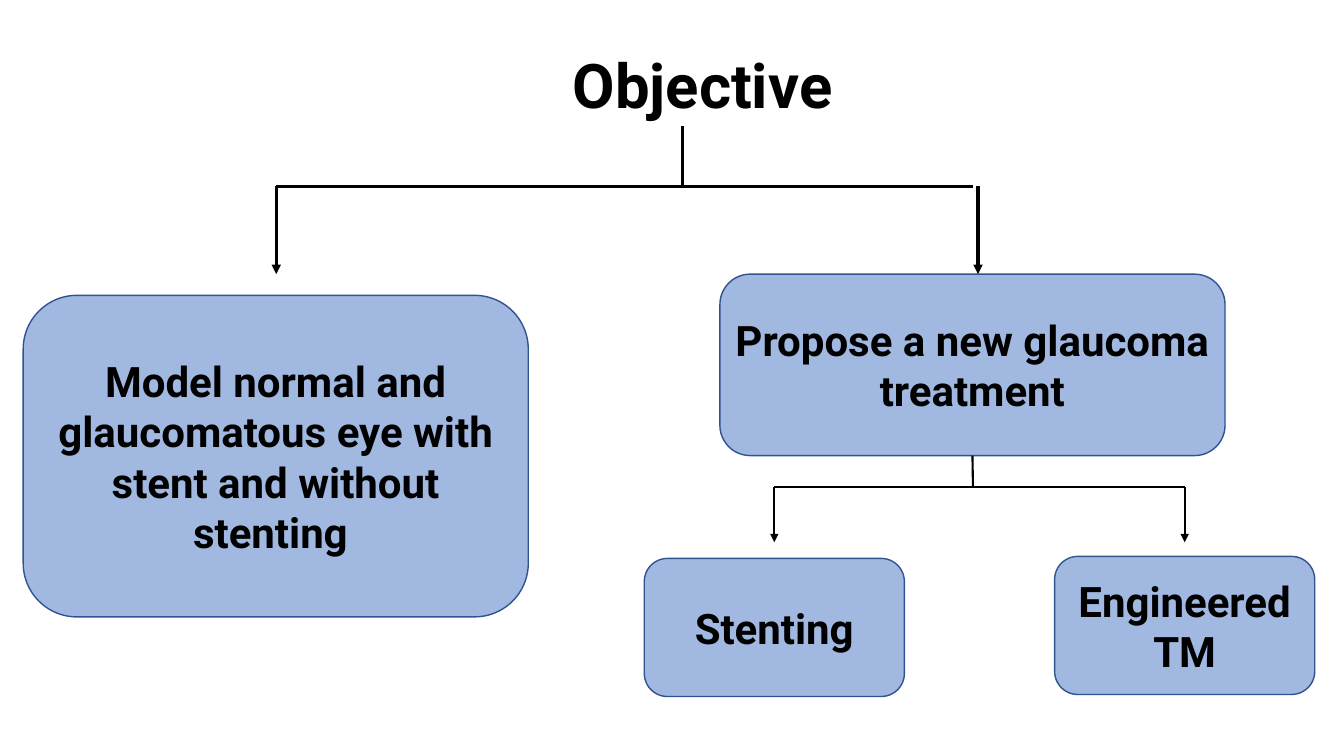
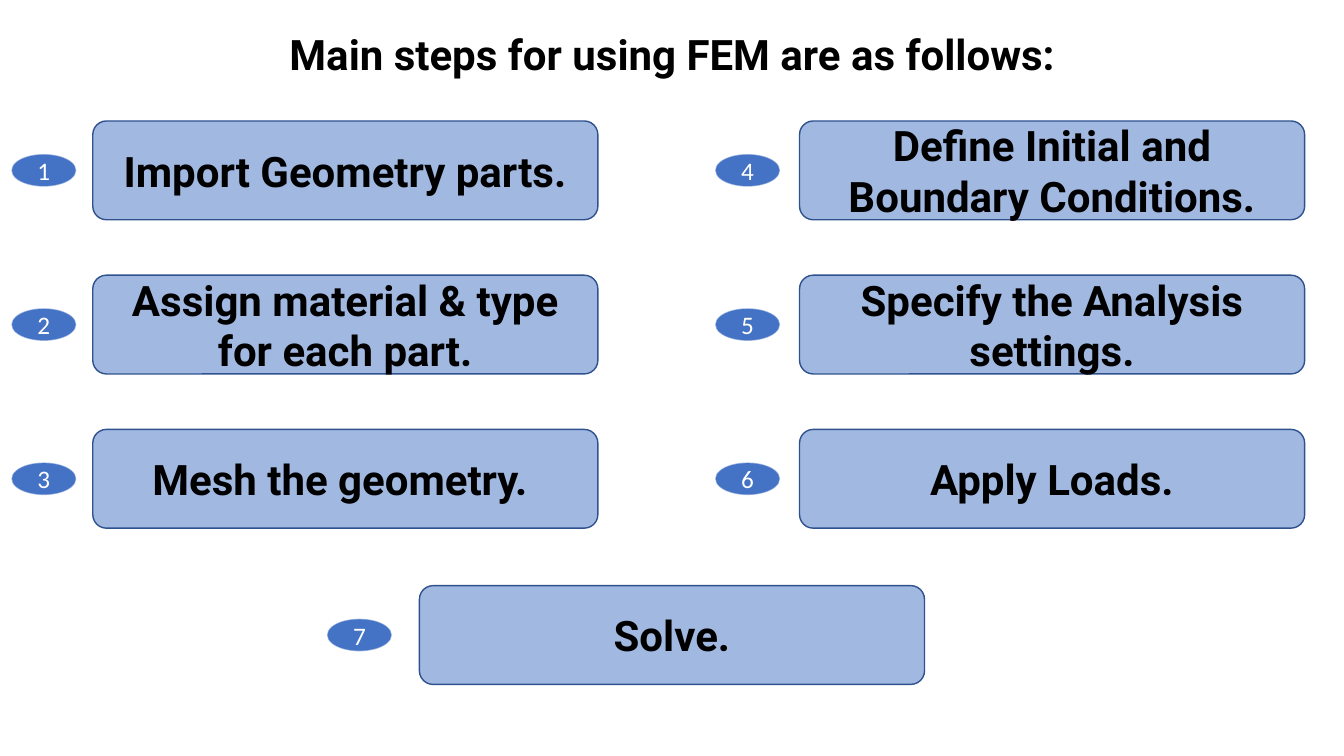
"""Build two slides: a glaucoma objective tree and the numbered FEM steps."""
from dataclasses import dataclass
from typing import Optional

from lxml.etree import SubElement
from pptx import Presentation
from pptx.dml.color import RGBColor
from pptx.enum.shapes import MSO_CONNECTOR, MSO_SHAPE
from pptx.enum.text import MSO_ANCHOR, PP_ALIGN
from pptx.oxml.ns import qn
from pptx.util import Inches, Pt


@dataclass(frozen=True)
class Theme:
    heading_font: str = "Roboto"
    badge_font: str = "Calibri"
    title_size: float = 44
    text_size: float = 30
    badge_size: float = 18
    ink: str = "000000"
    white: str = "FFFFFF"
    accent: str = "4472C4"
    tree_border: str = "31538F"
    step_border: str = "2F528F"
    half_opaque: str = "50000"


@dataclass(frozen=True)
class Area:
    left: float
    top: float
    width: float
    height: float

    @property
    def lengths(self) -> tuple:
        return tuple(Inches(n) for n in (self.left, self.top, self.width, self.height))


@dataclass(frozen=True)
class BoxStyle:
    border: str
    corner: float
    side_inset: float


@dataclass(frozen=True)
class Branch:
    trunk_x: float
    trunk_top: float
    bar_y: float
    bar_left: float
    bar_right: float
    drops: tuple
    drop_bottom: float
    weight: float


@dataclass(frozen=True)
class StepColumn:
    badge_left: float
    box_left: float
    top: float
    steps: tuple


THEME = Theme()
TREE_BOX = BoxStyle(THEME.tree_border, 0.167, 0)
STEP_BOX = BoxStyle(THEME.step_border, 0.138, 0.1)

PROPOSAL = "Propose a new glaucoma treatment"
TREE_BOXES = {
    "Model normal and glaucomatous eye with stent and without stenting ": Area(0.23, 2.93, 5.01, 3.19),
    PROPOSAL: Area(7.14, 2.72, 5.01, 1.8),
    "Stenting": Area(6.39, 5.54, 2.58, 1.37),
    "Engineered TM": Area(10.46, 5.52, 2.58, 1.37),
}
OBJECTIVE_BRANCH = Branch(6.77, 1.25, 1.85, 2.74, 9.65, (2.74, 9.7), 2.72, 2.25)
PROPOSAL_BRANCH = Branch(9.65, 4.52, 4.83, 7.68, 11.75, (7.68, 11.75), 5.38, 1.5)

STEP_WIDTH, STEP_HEIGHT, STEP_PITCH = 5.01, 0.98, 1.53
BADGE_WIDTH, BADGE_HEIGHT = 0.63, 0.31
STEP_COLUMNS = (
    StepColumn(0.12, 0.92, 1.2, (
        "Import Geometry parts.",
        "Assign material & type for each part.",
        "Mesh the geometry. ",
    )),
    StepColumn(7.1, 7.93, 1.2, (
        "Define Initial and Boundary Conditions.",
        "Specify the Analysis settings.",
        "Apply Loads.",
    )),
    StepColumn(3.25, 4.16, 5.81, ("Solve.",)),
)


def write_text(shape, text: str, size: float, color: str = THEME.ink,
               font: str = THEME.heading_font, bold: bool = True,
               anchor=MSO_ANCHOR.MIDDLE, spacing: Optional[float] = None) -> None:
    """Write one centred run into a shape."""
    frame = shape.text_frame
    frame.word_wrap = True
    frame.vertical_anchor = anchor
    paragraph = frame.paragraphs[0]
    paragraph.alignment = PP_ALIGN.CENTER
    if spacing is not None:
        paragraph.line_spacing = spacing
    run = paragraph.add_run()
    run.text = text
    run.font.name = font
    run.font.size = Pt(size)
    run.font.bold = bold
    run.font.color.rgb = RGBColor.from_string(color)


def make_half_opaque(properties) -> None:
    """Make the solid fill inside fill or line properties half transparent."""
    color = properties.find(qn("a:solidFill")).find(qn("a:srgbClr"))
    SubElement(color, qn("a:alpha")).set("val", THEME.half_opaque)


def add_title(slide, area: Area, text: str, size: float, anchor) -> None:
    """Add a centred slide title."""
    title = slide.shapes.add_textbox(*area.lengths)
    write_text(title, text, size, anchor=anchor, spacing=0.9)


def add_filled(slide, preset, area: Area, border: str):
    """Add an accent-filled shape with a thin border."""
    shape = slide.shapes.add_shape(preset, *area.lengths)
    shape.shadow.inherit = False
    shape.fill.solid()
    shape.fill.fore_color.rgb = RGBColor.from_string(THEME.accent)
    shape.line.color.rgb = RGBColor.from_string(border)
    shape.line.width = Pt(1)
    return shape


def add_box(slide, area: Area, text: str, style: BoxStyle):
    """Add a translucent rounded box with bold text."""
    box = add_filled(slide, MSO_SHAPE.ROUNDED_RECTANGLE, area, style.border)
    box.adjustments[0] = style.corner
    make_half_opaque(box.element.spPr)
    box.text_frame.margin_left = box.text_frame.margin_right = Inches(style.side_inset)
    write_text(box, text, THEME.text_size)
    return box


def add_badge(slide, area: Area, number: int) -> None:
    """Add a numbered oval."""
    badge = add_filled(slide, MSO_SHAPE.OVAL, area, THEME.accent)
    make_half_opaque(badge.element.spPr.find(qn("a:ln")))
    write_text(badge, str(number), THEME.badge_size, THEME.white, THEME.badge_font, False)


def add_line(slide, start: tuple, end: tuple, weight: float, arrow: bool = False):
    """Add a straight line, with an arrowhead at its end if asked."""
    points = (Inches(n) for n in (*start, *end))
    line = slide.shapes.add_connector(MSO_CONNECTOR.STRAIGHT, *points)
    line.line.color.rgb = RGBColor.from_string(THEME.ink)
    line.line.width = Pt(weight)
    properties = line.element.spPr
    if arrow:
        SubElement(properties.find(qn("a:ln")), qn("a:tailEnd")).set("type", "triangle")
    SubElement(properties, qn("a:effectLst"))
    return line


def add_branch(slide, branch: Branch, parent=None) -> None:
    """Draw a trunk, a crossbar and the arrows that drop from it."""
    trunk = add_line(slide, (branch.trunk_x, branch.trunk_top),
                     (branch.trunk_x, branch.bar_y), branch.weight)
    if parent is not None:
        trunk.begin_connect(parent, 2)
    add_line(slide, (branch.bar_left, branch.bar_y),
             (branch.bar_right, branch.bar_y), branch.weight)
    for x in branch.drops:
        add_line(slide, (x, branch.bar_y), (x, branch.drop_bottom), branch.weight, arrow=True)


def build_objective(slide) -> None:
    """Draw the objective tree."""
    add_title(slide, Area(1.22, 0.26, 11.5, 1.24), "Objective",
              THEME.title_size, MSO_ANCHOR.MIDDLE)
    boxes = {text: add_box(slide, area, text, TREE_BOX) for text, area in TREE_BOXES.items()}
    add_branch(slide, OBJECTIVE_BRANCH)
    add_branch(slide, PROPOSAL_BRANCH, boxes[PROPOSAL])


def build_steps(slide) -> None:
    """Draw the numbered steps column by column."""
    add_title(slide, Area(0.92, 0.29, 11.5, 0.6), "Main steps for using FEM are as follows:",
              THEME.text_size, MSO_ANCHOR.TOP)
    badge_drop = (STEP_HEIGHT - BADGE_HEIGHT) / 2
    number = 0
    for column in STEP_COLUMNS:
        for row, text in enumerate(column.steps):
            number += 1
            top = column.top + row * STEP_PITCH
            add_box(slide, Area(column.box_left, top, STEP_WIDTH, STEP_HEIGHT), text, STEP_BOX)
            add_badge(slide, Area(column.badge_left, top + badge_drop,
                                  BADGE_WIDTH, BADGE_HEIGHT), number)


def main() -> None:
    """Build and save the presentation."""
    presentation = Presentation()
    presentation.slide_width = Inches(13.33)
    presentation.slide_height = Inches(7.5)
    blank = presentation.slide_layouts[6]
    for build in (build_objective, build_steps):
        build(presentation.slides.add_slide(blank))
    presentation.save("out.pptx")


if __name__ == "__main__":
    main()
